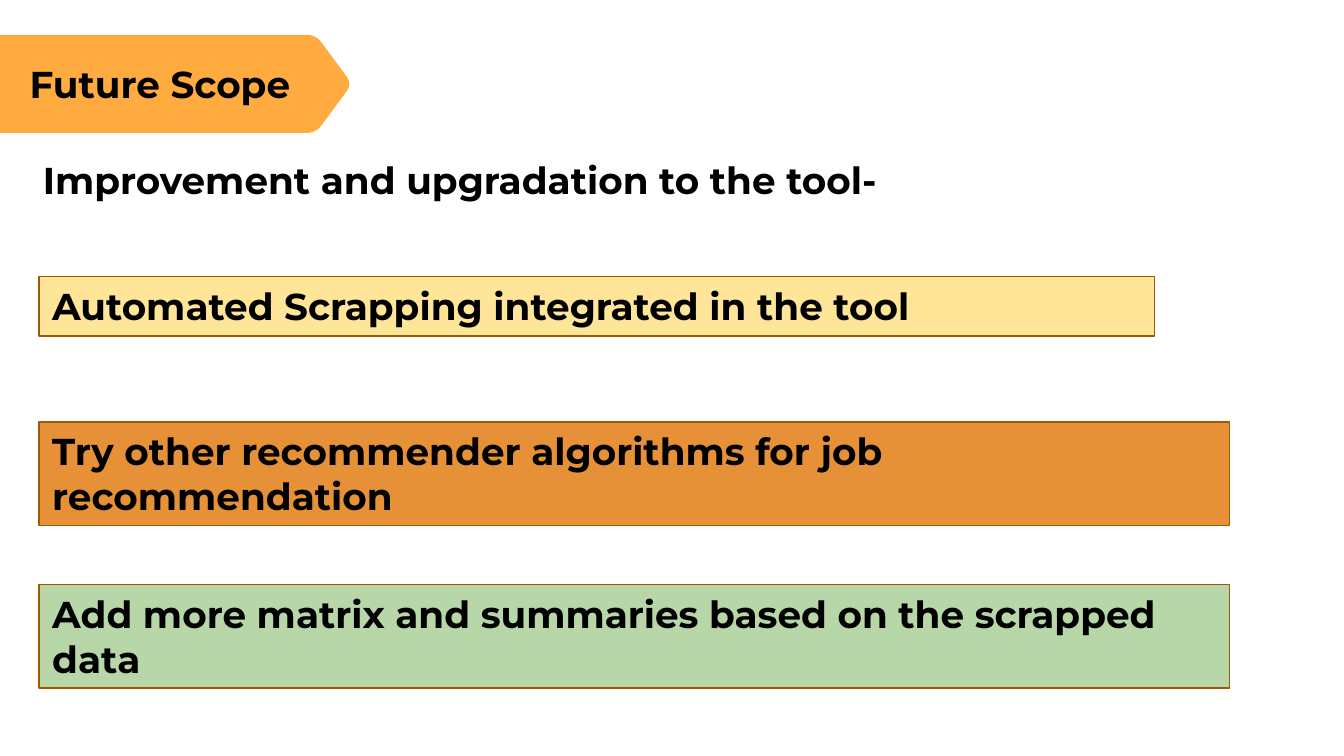
import math
from dataclasses import dataclass

import pptx
import pptx.dml.color
import pptx.enum.shapes
import pptx.enum.text
import pptx.util

Inches = pptx.util.Inches


@dataclass(frozen=True)
class Theme:
    font: str = "Montserrat"
    size: int = 20
    text: str = "000000"
    banner: str = "FFAB40"
    border: str = "A05900"
    border_width: float = 0.75
    yellow: str = "FFE598"
    orange: str = "E69138"
    green: str = "B7D7A8"


THEME = Theme()


def rgb(value):
    return pptx.dml.color.RGBColor.from_string(value)


def write_text(sp, text, **frame):
    tf = sp.text_frame
    frame_format = {
        "word_wrap": True,
        "auto_size": pptx.enum.text.MSO_AUTO_SIZE.SHAPE_TO_FIT_TEXT,
        "vertical_anchor": pptx.enum.text.MSO_ANCHOR.TOP,
        **frame,
    }
    for name, value in frame_format.items():
        setattr(tf, name, value)
    p = tf.paragraphs[0]
    p.alignment = pptx.enum.text.PP_ALIGN.LEFT
    r = p.add_run()
    r.text = text
    font_format = {"name": THEME.font, "size": pptx.util.Pt(THEME.size), "bold": True}
    for name, value in font_format.items():
        setattr(r.font, name, value)
    r.font.color.rgb = rgb(THEME.text)


def rounded_outline(corners, radius, steps=8):
    """Return the points of a polygon whose corners are rounded by curves."""
    points = []
    for i, (x, y) in enumerate(corners):
        ends = []
        for nx, ny in (corners[i - 1], corners[(i + 1) % len(corners)]):
            t = radius / math.hypot(nx - x, ny - y)
            ends.append((x + t * (nx - x), y + t * (ny - y)))
        (ax, ay), (bx, by) = ends
        for k in range(steps + 1):
            t = k / steps
            a, b, c = (1 - t) ** 2, 2 * t * (1 - t), t ** 2
            points.append((a * ax + b * x + c * bx, a * ay + b * y + c * by))
    return points


def add_title_banner(s, text, x, y, w, h):
    tip = 0.25
    corners = [(0, 0), (0, h), (w - tip, h), (w + 0.02, h / 2), (w - tip, 0)]
    outline = [(Inches(px), Inches(py)) for px, py in rounded_outline(corners, 0.07)]
    builder = s.shapes.build_freeform(*outline[0], scale=1.0)
    builder.add_line_segments(outline[1:], close=True)
    sp = builder.convert_to_shape(Inches(x), Inches(y))
    sp.shadow.inherit = False
    sp.fill.solid()
    sp.fill.fore_color.rgb = rgb(THEME.banner)
    sp.line.fill.background()

    title = s.shapes.title
    title.element.addprevious(sp.element)
    indent = 0.24
    box = {"left": x + indent, "top": y, "width": w - indent, "height": h}
    for name, value in box.items():
        setattr(title, name, Inches(value))
    write_text(title, text,
               auto_size=pptx.enum.text.MSO_AUTO_SIZE.NONE,
               vertical_anchor=pptx.enum.text.MSO_ANCHOR.MIDDLE)


def add_lead(s, text, x, y, w, h):
    sp = s.shapes.add_textbox(*map(Inches, (x, y, w, h)))
    write_text(sp, text)


def add_scope_bar(s, text, fill, x, y, w, h):
    sp = s.shapes.add_shape(pptx.enum.shapes.MSO_SHAPE.RECTANGLE,
                            *map(Inches, (x, y, w, h)))
    sp.shadow.inherit = False
    sp.fill.solid()
    sp.fill.fore_color.rgb = rgb(fill)
    sp.line.color.rgb = rgb(THEME.border)
    sp.line.width = pptx.util.Pt(THEME.border_width)
    write_text(sp, text)


def add_scope_bars(s, x, y):
    """Stack the bars from x, y; each has its own offset, width and height."""
    bars = [
        ("Automated Scrapping integrated in the tool",
         THEME.yellow, 0, 8.3, 0.44),
        ("Try other recommender algorithms for job recommendation",
         THEME.orange, 1.08, 8.86, 0.77),
        ("Add more matrix and summaries based on the scrapped data",
         THEME.green, 2.29, 8.86, 0.77),
    ]
    for text, fill, offset, w, h in bars:
        add_scope_bar(s, text, fill, x, y + offset, w, h)


def main():
    prs = pptx.Presentation()
    prs.slide_width = Inches(10)
    prs.slide_height = prs.slide_width * 9 // 16
    s = prs.slides.add_slide(prs.slide_layouts.get_by_name("Title Only"))
    add_title_banner(s, "Future Scope", -0.12, 0.26, 2.72, 0.73)
    add_lead(s, "Improvement and upgradation to the tool-", 0.22, 1.12, 8.45, 0.44)
    add_scope_bars(s, 0.29, 2.06)
    prs.save("out.pptx")


if __name__ == "__main__":
    main()
